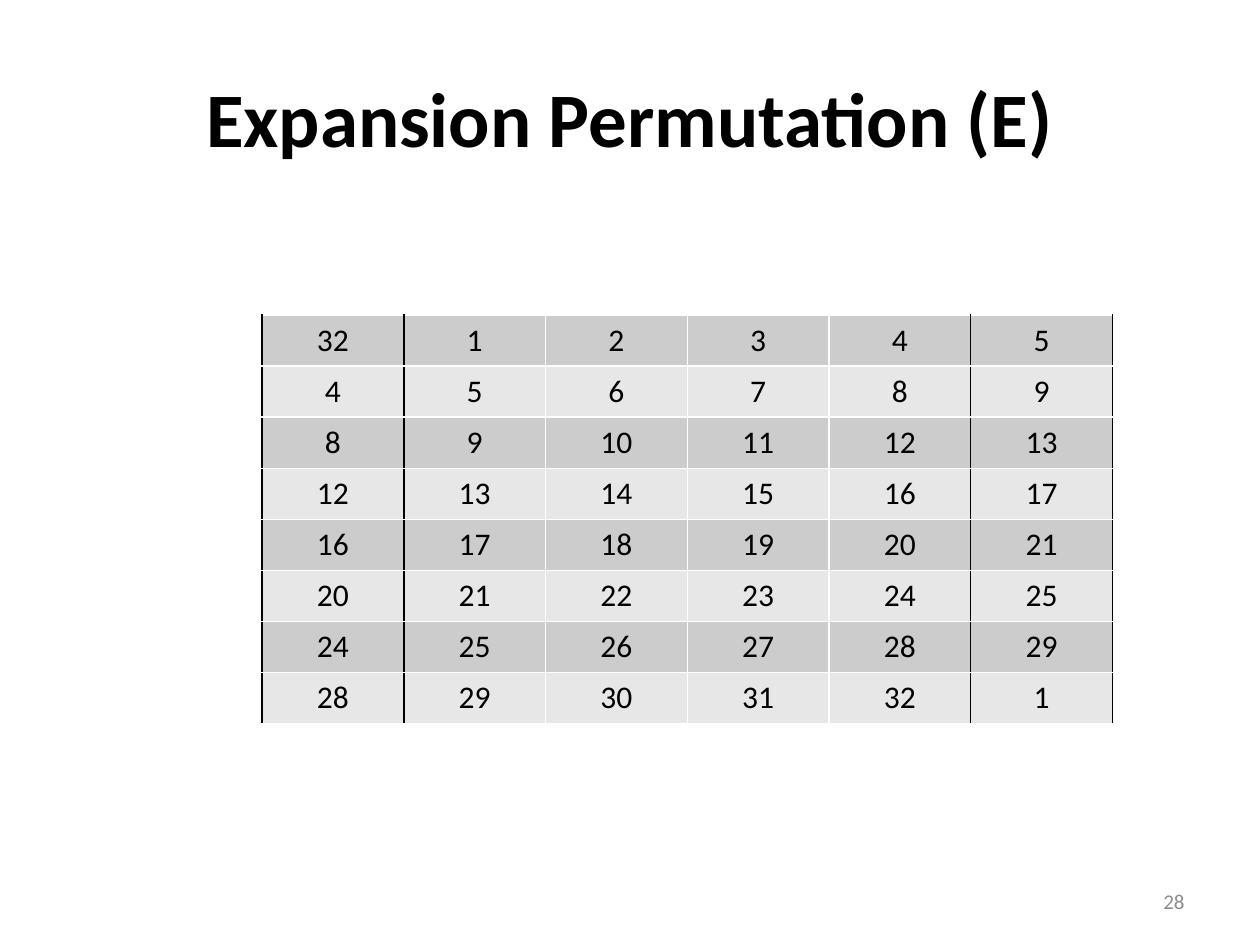
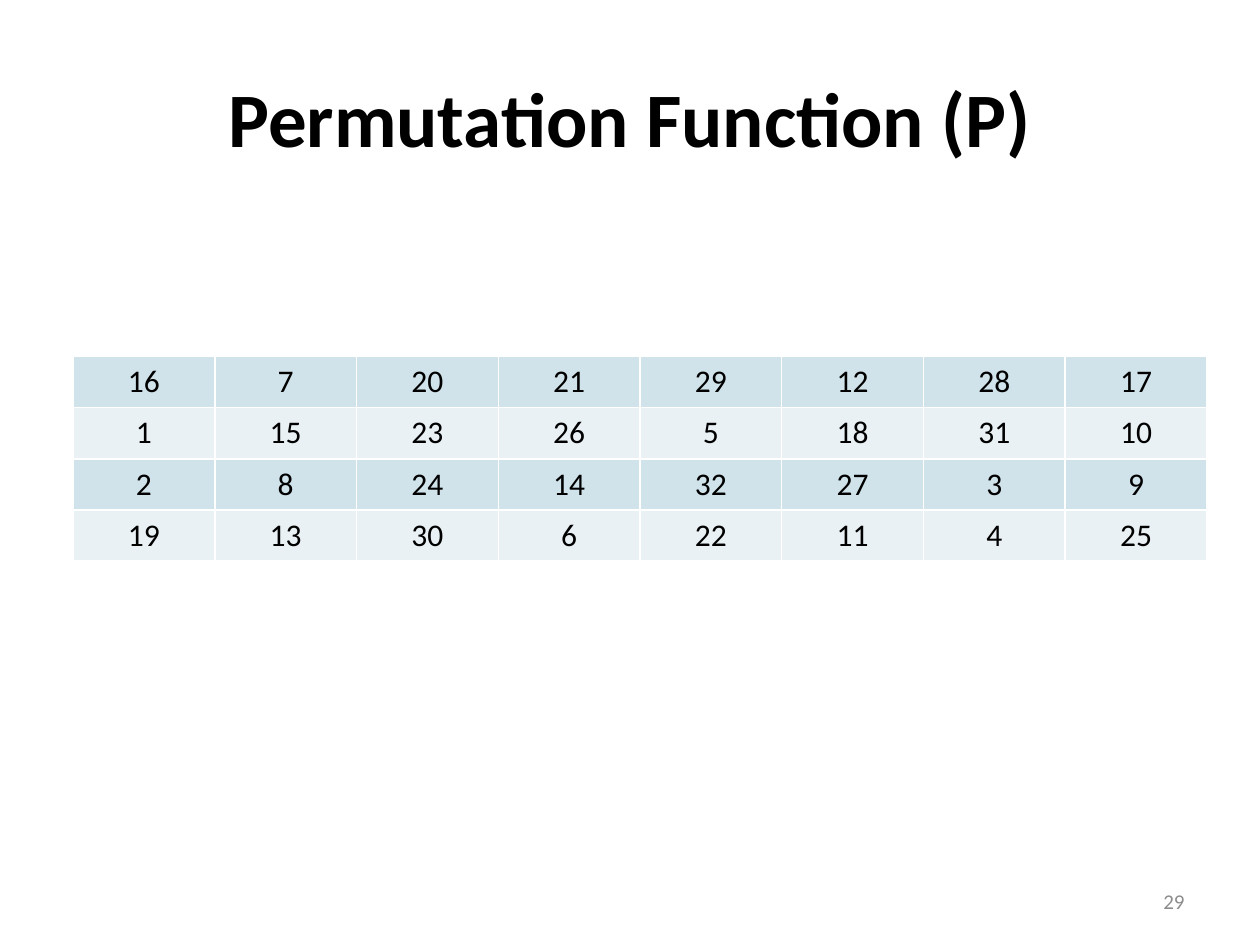
import pptx
import pptx.util
import pptx.dml.color
import pptx.enum.text
import pptx.oxml
import pptx.oxml.ns
import lxml.etree

Inches = pptx.util.Inches
Color = pptx.dml.color.RGBColor
ALIGN = pptx.enum.text.PP_ALIGN
MIDDLE = pptx.enum.text.MSO_ANCHOR.MIDDLE

# Shared look
FONT = "Calibri"
BLACK = Color(0x00, 0x00, 0x00)
WHITE = Color(0xFF, 0xFF, 0xFF)
GREY = Color(0x8C, 0x8C, 0x8C)
GREYS = Color(0xCC, 0xCC, 0xCC), Color(0xE7, 0xE7, 0xE7)
BLUES = Color(0xD0, 0xE3, 0xEA), Color(0xE9, 0xF1, 0xF5)


def put(frame, text, size=18, color=BLACK, bold=False, align=ALIGN.CENTER):
    """Write one formatted line into a text frame."""
    para = frame.paragraphs[0]
    para.alignment = align
    run = para.add_run()
    run.text = str(text)
    run.font.name = FONT
    run.font.size = pptx.util.Pt(size)
    run.font.bold = bold
    run.font.color.rgb = color


def edge(cell, side, color):
    """Draw a 1 pt border on side L, R, T or B of a cell."""
    tag = pptx.oxml.ns.qn
    line = lxml.etree.SubElement(cell._tc.get_or_add_tcPr(), tag(f"a:ln{side}"),
                                 w=str(pptx.util.Pt(1)))
    fill = lxml.etree.SubElement(line, tag("a:solidFill"))
    lxml.etree.SubElement(fill, tag("a:srgbClr"), val=str(color))


# Each expansion row takes 4 bits plus a neighbour on either side
expand = [[(4 * r + c - 1) % 32 + 1 for c in range(6)] for r in range(8)]
permute = [
    [16, 7, 20, 21, 29, 12, 28, 17],
    [1, 15, 23, 26, 5, 18, 31, 10],
    [2, 8, 24, 14, 32, 27, 3, 9],
    [19, 13, 30, 6, 22, 11, 4, 25],
]

# Title, values, left, top, width, height, row fills, black column lines
pages = [
    ("Expansion Permutation (E)", expand, 2.08, 2.5, 6.75, 3.24, GREYS, {0, 1, 5, 6}),
    ("Permutation Function (P)", permute, 0.58, 2.83, 9, 1.62, BLUES, set()),
]

deck = pptx.Presentation()
deck.slide_width = Inches(10)
deck.slide_height = Inches(7.5)

for num, (name, rows, left, top, width, height, fills, dark) in enumerate(pages, 28):
    slide = deck.slides.add_slide(deck.slide_layouts[5])

    # Title
    title = slide.shapes.title
    title.left, title.top = Inches(0.5), Inches(0.3)
    title.width, title.height = Inches(9), Inches(1.25)
    title.text_frame.vertical_anchor = MIDDLE
    put(title.text_frame, name, size=44, bold=True)

    # Table
    table = slide.shapes.add_table(len(rows), len(rows[0]), Inches(left), Inches(top),
                                   Inches(width), Inches(height)).table
    table.first_row = False
    table.horz_banding = False
    for r, row in enumerate(rows):
        for c, value in enumerate(row):
            cell = table.cell(r, c)
            edge(cell, "L", BLACK if c in dark else WHITE)
            edge(cell, "R", BLACK if c + 1 in dark else WHITE)
            edge(cell, "T", WHITE)
            edge(cell, "B", WHITE)
            cell.fill.solid()
            cell.fill.fore_color.rgb = fills[r % 2]
            put(cell.text_frame, value)

    # Slide number
    foot = slide.shapes.add_textbox(Inches(7.17), Inches(6.95), Inches(2.33), Inches(0.4))
    foot.text_frame.word_wrap = True
    foot.text_frame.vertical_anchor = MIDDLE
    put(foot.text_frame, num, size=12, color=GREY, align=ALIGN.RIGHT)

deck.save("out.pptx")
